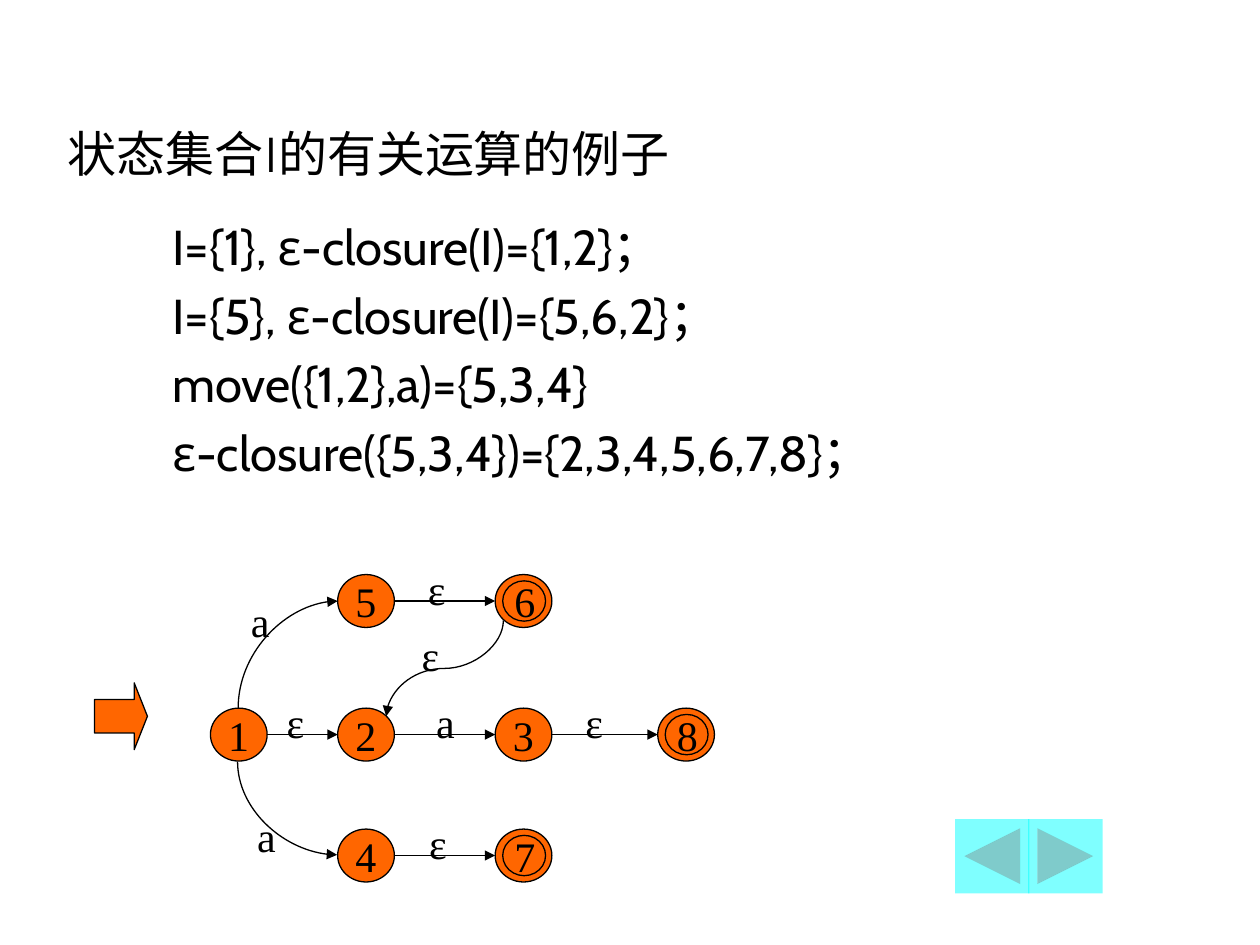
"""Builds a slide on state-set operations with a small NFA diagram."""
import dataclasses

import pptx
import pptx.dml.color
import pptx.enum.shapes
import pptx.enum.text
import pptx.oxml.ns
import pptx.oxml.xmlchemy
import pptx.util
from lxml import etree

Inches = pptx.util.Inches
Pt = pptx.util.Pt
RGB = pptx.dml.color.RGBColor
SHAPE = pptx.enum.shapes.MSO_SHAPE
LINE = pptx.enum.shapes.MSO_CONNECTOR
ALIGN = pptx.enum.text.PP_ALIGN
ANCHOR = pptx.enum.text.MSO_ANCHOR
FIT = pptx.enum.text.MSO_AUTO_SIZE
qn = pptx.oxml.ns.qn


@dataclasses.dataclass(frozen=True)
class Theme:
    ink = RGB(0x00, 0x00, 0x00)
    state = RGB(0xFF, 0x66, 0x00)
    button = RGB(0x00, 0xFF, 0xFF)
    title_font = "Montserrat"
    body_font = "Cabin"
    label_font = "Times New Roman"
    text_size = Pt(28)
    label_size = Pt(24)
    line_width = Pt(0.75)


theme = Theme()


def write(sp, text, font=theme.label_font, size=theme.label_size, align=ALIGN.CENTER,
          anchor=ANCHOR.MIDDLE, wrap=False, fit=FIT.NONE, before=0, margin=0, indent=0):
    tf = sp.text_frame
    tf.word_wrap, tf.auto_size, tf.vertical_anchor = wrap, fit, anchor
    for i, line in enumerate(text.split("\n")):
        p = tf.paragraphs[0] if i == 0 else tf.add_paragraph()
        p.alignment = align
        if i:
            p.space_before = Pt(before)
        if margin:
            pPr = p._p.get_or_add_pPr()
            pPr.set("marL", str(Inches(margin)))
            pPr.set("indent", str(Inches(indent)))
        r = p.add_run()
        r.text = line
        r.font.name, r.font.size = font, size
        r.font.color.rgb = theme.ink


def outlined(shapes, kind, x, y, w, h):
    sp = shapes.add_shape(kind, Inches(x), Inches(y), Inches(w), Inches(h))
    sp.shadow.inherit = False
    sp.fill.solid()
    sp.fill.fore_color.rgb = theme.state
    sp.line.color.rgb = theme.ink
    sp.line.width = theme.line_width
    return sp


prs = pptx.Presentation()
prs.slide_width, prs.slide_height = Inches(10), Inches(7.5)
s = prs.slides.add_slide(prs.slide_layouts[6])

title = s.shapes.add_textbox(Inches(0.44), Inches(0.25), Inches(8.5), Inches(1.25))
write(title, "状态集合I的有关运算的例子", font=theme.title_font, size=theme.text_size,
      align=ALIGN.LEFT, anchor=ANCHOR.BOTTOM, wrap=True)

examples = "\n".join([
    "I={1}, ε-closure(I)={1,2}；",
    "I={5}, ε-closure(I)={5,6,2}；",
    "move({1,2},a)={5,3,4}",
    "ε-closure({5,3,4})={2,3,4,5,6,7,8}；",
])
body = s.shapes.add_textbox(Inches(0.77), Inches(1.67), Inches(8.82), Inches(5.5))
write(body, examples, font=theme.body_font, size=theme.text_size, align=ALIGN.LEFT,
      anchor=ANCHOR.TOP, wrap=True, before=5.6, margin=0.81, indent=-0.31)

for x, kind in [(7.58, SHAPE.ACTION_BUTTON_BACK_OR_PREVIOUS),
                (8.16, SHAPE.ACTION_BUTTON_FORWARD_OR_NEXT)]:
    sp = s.shapes.add_shape(kind, Inches(x), Inches(6.5), Inches(0.59), Inches(0.59))
    sp.shadow.inherit = False
    sp.fill.solid()
    sp.fill.fore_color.rgb = theme.button
    color = sp._element.spPr.find(qn("a:solidFill"))[0]
    etree.SubElement(color, qn("a:alpha")).set("val", "50000")
    sp.line.fill.background()

diagram = s.shapes.add_group_shape().shapes
state_w, state_h = 0.45, 0.42
columns = [1.67, 2.68, 3.93, 5.22]
rows = [4.56, 5.62, 6.58]
states = {"1": (0, 1), "2": (1, 1), "5": (1, 0), "3": (2, 1), "4": (1, 2),
          "6": (2, 0), "8": (3, 1), "7": (2, 2)}
final_states = "678"

for name, (col, row) in states.items():
    x, y = columns[col], rows[row]
    sp = outlined(diagram, SHAPE.OVAL, x, y, state_w, state_h)
    if name in final_states:
        outlined(diagram, SHAPE.OVAL, x + 0.06, y + 0.05, 0.34, 0.32)
        sp = diagram.add_textbox(Inches(x + 0.05), Inches(y - 0.04), Inches(0.37), Inches(0.5))
        write(sp, name, fit=FIT.SHAPE_TO_FIT_TEXT)
    else:
        write(sp, name)

edges = []
for start, end in ["47", "23", "56", "12", "38"]:
    y = rows[states[start][1]] + state_h / 2
    x1, x2 = columns[states[start][0]] + state_w, columns[states[end][0]]
    edges.append(("line", x1, y, x2 - x1, 0, 0, False))
edges += [
    ("curvedConnector3", 3.15, 4.84, 0.76, 0.93, 90, False),
    ("curvedConnector2", 1.86, 4.8, 0.85, 0.79, 270, False),
    ("curvedConnector2", 1.91, 6.02, 0.74, 0.79, 270, True),
]
for preset, x, y, w, h, turn, flip in edges:
    kind = LINE.STRAIGHT if preset == "line" else LINE.CURVE
    edge = diagram.add_connector(kind, Inches(x), Inches(y), Inches(x + w), Inches(y + h))
    edge.line.color.rgb = theme.ink
    edge.line.width = theme.line_width
    etree.SubElement(edge.line._get_or_add_ln(), qn("a:tailEnd")).set("type", "triangle")
    spPr = edge._element.spPr
    etree.SubElement(spPr, qn("a:effectLst"))
    spPr.find(qn("a:prstGeom")).set("prst", preset)
    if turn:
        spPr.find(qn("a:xfrm")).set("rot", str(turn * 60000))
    if flip:
        spPr.find(qn("a:xfrm")).set("flipH", "1")

edge_labels = [("a", 1.89, 4.68), ("a", 1.94, 6.38), ("ε", 2.17, 5.48), ("ε", 3.24, 4.95),
               ("ε", 3.29, 4.42), ("ε", 4.54, 5.48), ("ε", 3.3, 6.44), ("a", 3.36, 5.48)]
for text, x, y in edge_labels:
    sp = diagram.add_textbox(Inches(x), Inches(y), Inches(0.35), Inches(0.5))
    write(sp, text, fit=FIT.SHAPE_TO_FIT_TEXT)

start_arrow = outlined(s.shapes, SHAPE.RIGHT_ARROW, 0.75, 5.42, 0.42, 0.53)
start_arrow.adjustments[0] = 0.5
start_arrow.adjustments[1] = 0.25

prs.save("out.pptx")
